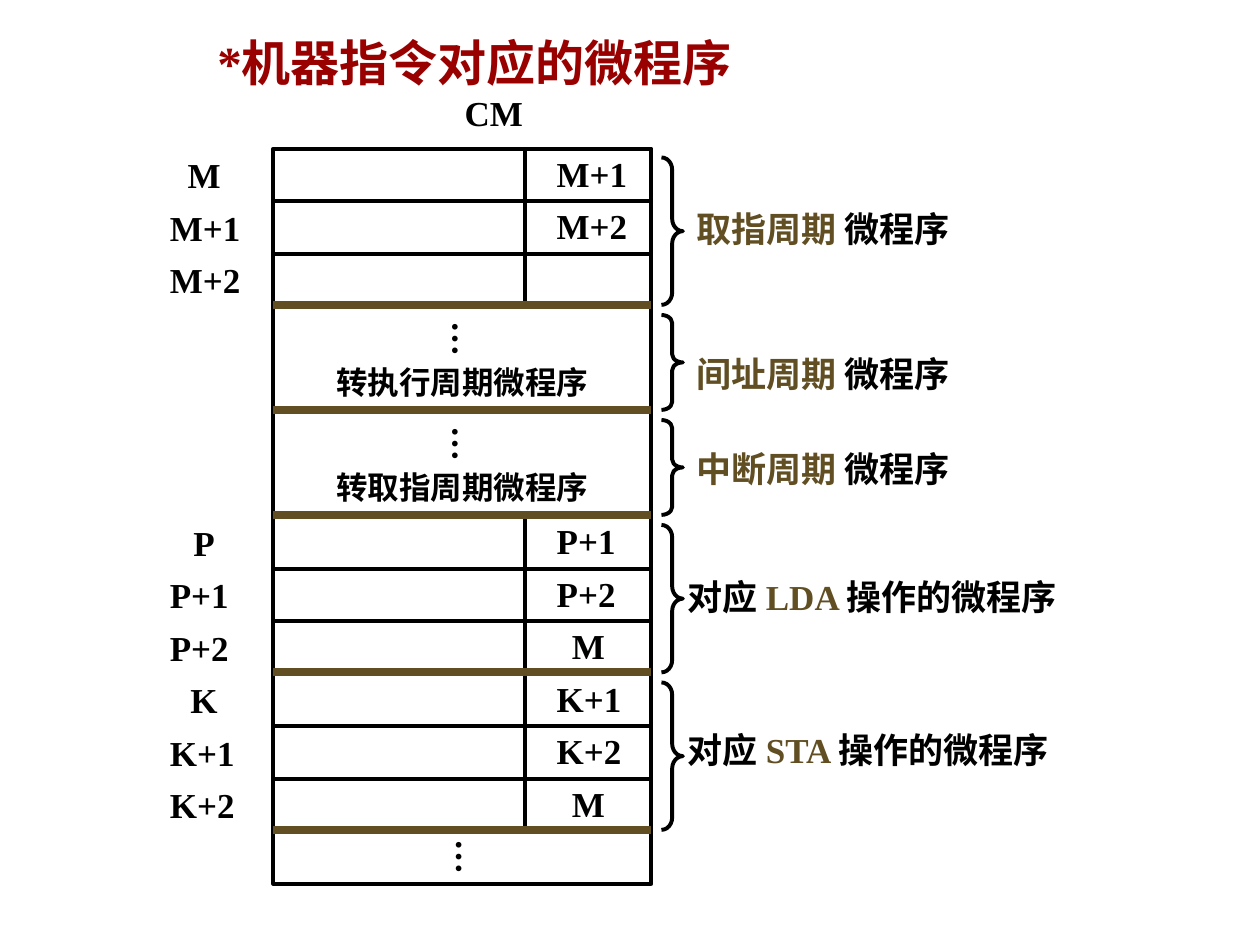
from pptx import Presentation
from pptx import util as u
from pptx.dml.color import RGBColor
from pptx.enum import shapes, text
from pptx.oxml.ns import qn

BLACK = RGBColor(0x00, 0x00, 0x00)
BROWN = RGBColor(0x61, 0x4F, 0x23)
RED = RGBColor(0x99, 0x00, 0x00)
FONT = "Times New Roman"

# Content: control memory sections from top to bottom
TITLE = " *机器指令对应的微程序"
MEMORY = "CM"
DOTS = "…"
# cells: (address, next address) per row; note: text of an undivided two-row band
# label: coloured spans; place: left, width, shift of its centre from the brace tip
SECTIONS = [
    dict(cells=[("M", "M+1"), ("M+1", "M+2"), ("M+2", "")],
         label=[("取指周期 ", BROWN), ("微程序", BLACK)], place=(5.43, 2.25, -0.02)),
    dict(note="转执行周期微程序",
         label=[("间址周期 ", BROWN), ("微程序", BLACK)], place=(5.43, 2.25, 0.09)),
    dict(note="转取指周期微程序",
         label=[("中断周期 ", BROWN), ("微程序", BLACK)], place=(5.43, 2.25, 0.01)),
    dict(cells=[("P", "P+1"), ("P+1", "P+2"), ("P+2", "M")],
         label=[("对应 ", BLACK), ("LDA ", BROWN), ("操作的微程序", BLACK)],
         place=(5.36, 3.32, -0.01)),
    dict(cells=[("K", "K+1"), ("K+1", "K+2"), ("K+2", "M")],
         label=[("对应 ", BLACK), ("STA ", BROWN), ("操作的微程序", BLACK)],
         place=(5.36, 3.28, -0.05)),
]

# Grid, in inches
LEFT, TOP, WIDTH, ROW = 2.17, 1.18, 3, 5 / 12
RIGHT, DIVIDER = LEFT + WIDTH, LEFT + WIDTH * 2 / 3
BAND_ROWS = 2
LINE_HEIGHT = 0.44
BRACE_LEFT, BRACE_WIDTH, BRACE_GAP = 5.25, 0.17, 0.07
ADDRESS_COLUMN = dict(left=1.25, middle=1.62, rise=0.01)
NEXT_COLUMN = dict(left=4.32, middle=4.67, rise=0.02)
SUM_WIDTH, LETTER_WIDTH = 0.8, 0.5

deck = Presentation()
deck.slide_width, deck.slide_height = u.Inches(10), u.Inches(7.5)
page = deck.slides.add_slide(deck.slide_layouts[6])


def inches(*values):
    return [u.Inches(value) for value in values]


def add_text(words, left, top, width, height=LINE_HEIGHT, size=20, color=BLACK,
             wrap=True, align=text.PP_ALIGN.LEFT, vertical=False):
    """Words are a string or a list of (string, colour) spans."""
    box = page.shapes.add_textbox(*inches(left, top, width, height))
    frame = box.text_frame
    frame.word_wrap = wrap
    frame.auto_size = text.MSO_AUTO_SIZE.SHAPE_TO_FIT_TEXT
    if vertical:
        frame.margin_left = frame.margin_right = u.Inches(0.05)
        frame.margin_top = frame.margin_bottom = u.Inches(0.1)
        frame._txBody.find(qn("a:bodyPr")).set("vert", "eaVert")
    para = frame.paragraphs[0]
    para.alignment = align
    for string, tint in [(words, color)] if isinstance(words, str) else words:
        span = para.add_run()
        span.text = string
        span.font.name, span.font.size, span.font.bold = FONT, u.Pt(size), True
        span.font.color.rgb = tint


def add_outline(kind, left, top, width, height):
    shape = page.shapes.add_shape(kind, *inches(left, top, width, height))
    shape.shadow.inherit = False
    shape.fill.background()
    shape.line.color.rgb, shape.line.width = BLACK, u.Pt(2.25)
    return shape


def add_line(x1, y1, x2, y2, color=BLACK, weight=2.25):
    line = page.shapes.add_connector(shapes.MSO_CONNECTOR.STRAIGHT,
                                     *inches(x1, y1, x2, y2))
    line.line.color.rgb, line.line.width = color, u.Pt(weight)
    properties = line._element.spPr
    properties.append(properties.makeelement(qn("a:effectLst"), {}))


def add_address(name, row_top, column):
    """Sums share a left edge; single letters are centred in the column."""
    top = row_top - column["rise"]
    if "+" in name:
        add_text(name, column["left"], top, SUM_WIDTH)
    else:
        add_text(name, column["middle"] - LETTER_WIDTH / 2, top, LETTER_WIDTH,
                 align=text.PP_ALIGN.CENTER)


def add_dots(left, top):
    add_text(DOTS, left, top, 0.53, 0.38, wrap=False, vertical=True)


# Heading
add_text(TITLE, 1.53, 0.21, 5.33, 0.57, size=28, color=RED)
add_text(MEMORY, 3.59, 0.68, 0.8)

# Sections of the memory
top = TOP
borders = []
for section in SECTIONS:
    cells = section.get("cells", [])
    height = (len(cells) or BAND_ROWS) * ROW
    for index, (address, following) in enumerate(cells):
        row_top = top + index * ROW
        add_outline(shapes.MSO_SHAPE.RECTANGLE, LEFT, row_top, WIDTH, ROW)
        add_address(address, row_top, ADDRESS_COLUMN)
        if following:
            add_address(following, row_top, NEXT_COLUMN)
    if cells:
        add_line(DIVIDER, top, DIVIDER, top + height)
    else:
        add_outline(shapes.MSO_SHAPE.RECTANGLE, LEFT, top, WIDTH, height)
        add_dots(3.39, top + 0.02)
        add_text(section["note"], LEFT, top + 0.4, WIDTH, 0.4, size=18,
                 align=text.PP_ALIGN.CENTER)

    # Brace and its label
    brace_height = height - 0.08
    brace = add_outline(shapes.MSO_SHAPE.RIGHT_BRACE, BRACE_LEFT, top + BRACE_GAP,
                        BRACE_WIDTH, brace_height)
    brace.adjustments[0] = brace_height / 12 / BRACE_WIDTH
    left, width, shift = section["place"]
    tip = top + BRACE_GAP + brace_height / 2
    add_text(section["label"], left, tip + shift - LINE_HEIGHT / 2, width)

    top += height
    borders.append(top)

# Remaining memory
add_outline(shapes.MSO_SHAPE.RECTANGLE, LEFT, top, WIDTH, ROW)
add_dots(3.42, top - 0.03)

# Section borders
for border in borders:
    add_line(LEFT, border - 0.01, RIGHT, border - 0.01, color=BROWN, weight=4.5)

deck.save("out.pptx")
